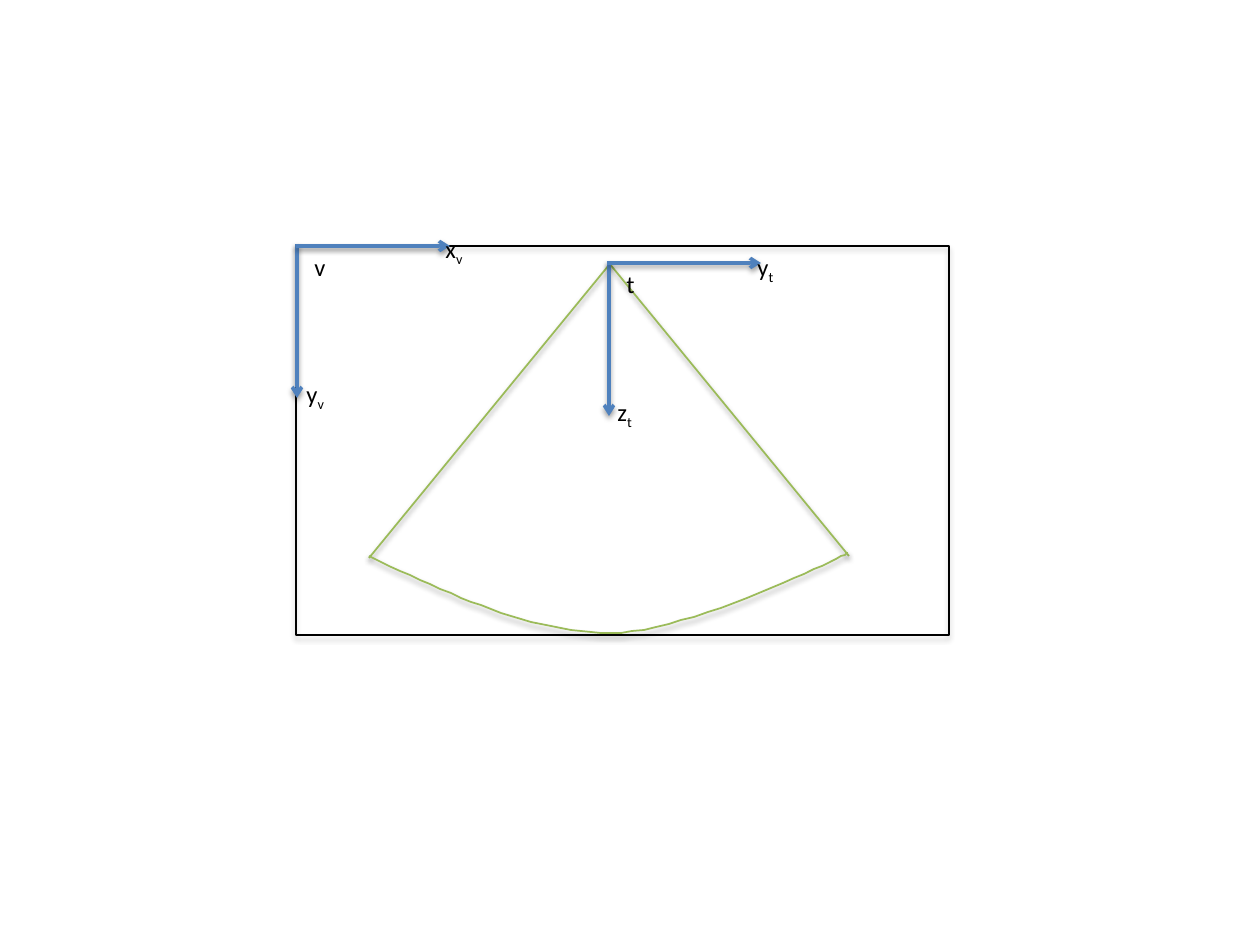
import dataclasses

import pptx
import pptx.dml.color
import pptx.enum.shapes
import pptx.enum.text
import pptx.oxml
import pptx.oxml.ns
import pptx.util

SCALE = 914400 / 126  # EMU per px
BLANK_LAYOUT = 6


@dataclasses.dataclass(frozen=True)
class Theme:
    font: str = "Calibri"
    text_size: int = 14
    text: str = "000000"
    frame: str = "000000"
    frame_width: float = 0.75
    sector: str = "9BBB59"
    sector_width: float = 1
    axis: str = "4F81BD"
    axis_width: float = 2
    shadow: str = "000000"


THEME = Theme()


def px(value):
    return pptx.util.Emu(round(value * SCALE))


def rgb(value):
    return pptx.dml.color.RGBColor.from_string(value)


def style_line(shape, color, width, opacity=38, distance=1.6):
    """Set the outline, then the soft shadow falling straight down."""
    shape.line.color.rgb = rgb(color)
    shape.line.width = pptx.util.Pt(width)
    shape._element.spPr.append(pptx.oxml.parse_xml(
        f'<a:effectLst {pptx.oxml.ns.nsdecls("a")}>'
        f'<a:outerShdw blurRad="{pptx.util.Pt(3.1)}" dist="{pptx.util.Pt(distance)}"'
        ' dir="5400000" rotWithShape="0">'
        f'<a:srgbClr val="{THEME.shadow}"><a:alpha val="{opacity * 1000}"/></a:srgbClr>'
        '</a:outerShdw></a:effectLst>'))


def add_line(slide, start, end, color, width):
    connector = slide.shapes.add_connector(
        pptx.enum.shapes.MSO_CONNECTOR.STRAIGHT, *map(px, (*start, *end)))
    style_line(connector, color, width)
    return connector


def add_axis(slide, start, end):
    connector = add_line(slide, start, end, THEME.axis, THEME.axis_width)
    outline = connector._element.spPr.find(pptx.oxml.ns.qn("a:ln"))
    outline.append(pptx.oxml.parse_xml(
        f'<a:tailEnd {pptx.oxml.ns.nsdecls("a")} type="arrow"/>'))


def bezier_points(start, control_1, control_2, end, steps=24):
    """Points along a cubic curve, leaving out its start."""
    points = []
    for step in range(1, steps + 1):
        t = step / steps
        weights = ((1 - t) ** 3, 3 * t * (1 - t) ** 2, 3 * t * t * (1 - t), t ** 3)
        corners = (start, control_1, control_2, end)
        points.append(tuple(
            sum(weight * corner[axis] for weight, corner in zip(weights, corners))
            for axis in (0, 1)))
    return points


def add_arc(slide, left, bottom, right):
    points = bezier_points(left, (451, 595), (532, 633), bottom)
    points += bezier_points(bottom, (690, 633), right, right)
    builder = slide.shapes.build_freeform(*left, scale=SCALE)
    builder.add_line_segments(points, close=False)
    arc = builder.convert_to_shape()
    arc.fill.background()
    style_line(arc, THEME.sector, THEME.sector_width)


def add_frame(slide, left, top, width, height):
    frame = slide.shapes.add_shape(
        pptx.enum.shapes.MSO_SHAPE.RECTANGLE, *map(px, (left, top, width, height)))
    frame.fill.background()
    style_line(frame, THEME.frame, THEME.frame_width, opacity=35, distance=1.8)


def add_label(slide, left, top, width, name, subscript=""):
    label = slide.shapes.add_textbox(*map(px, (left, top, width, 43)))
    text_frame = label.text_frame
    text_frame.word_wrap = False
    text_frame.auto_size = pptx.enum.text.MSO_AUTO_SIZE.SHAPE_TO_FIT_TEXT
    paragraph = text_frame.paragraphs[0]
    for text, baseline in ((name, 0), (subscript, -25)):
        if not text:
            continue
        run = paragraph.add_run()
        run.text = text
        run.font.name = THEME.font
        run.font.size = pptx.util.Pt(THEME.text_size)
        run.font.color.rgb = rgb(THEME.text)
        if baseline:
            run._r.get_or_add_rPr().set("baseline", str(baseline * 1000))


def main():
    presentation = pptx.Presentation()
    presentation.slide_width = pptx.util.Inches(10)
    presentation.slide_height = pptx.util.Inches(7.5)
    slide = presentation.slides.add_slide(presentation.slide_layouts[BLANK_LAYOUT])
    axis_length = 154

    # Scan sector: two rays and the arc between them
    add_line(slide, (609, 263), (849, 556), THEME.sector, THEME.sector_width)
    add_line(slide, (369, 558), (609, 265), THEME.sector, THEME.sector_width)
    add_arc(slide, (369, 556), (611, 633), (848, 553))

    # View frame
    add_frame(slide, 296, 246, 653, 389)

    # Coordinate systems t (sector apex) and v (frame corner)
    for down, across in (((609, 262), (607, 263)), ((297, 244), (296, 246))):
        add_axis(slide, down, (down[0], down[1] + axis_length))
        add_axis(slide, across, (across[0] + axis_length, across[1]))

    # Origin and axis names
    for label in (
        (614, 263, 34, "t"),
        (745, 246, 42, "y", "t"),
        (605, 391, 42, "z", "t"),
        (302, 246, 37, "v"),
        (433, 228, 44, "x", "v"),
        (294, 373, 44, "y", "v"),
    ):
        add_label(slide, *label)

    presentation.save("out.pptx")


if __name__ == "__main__":
    main()
